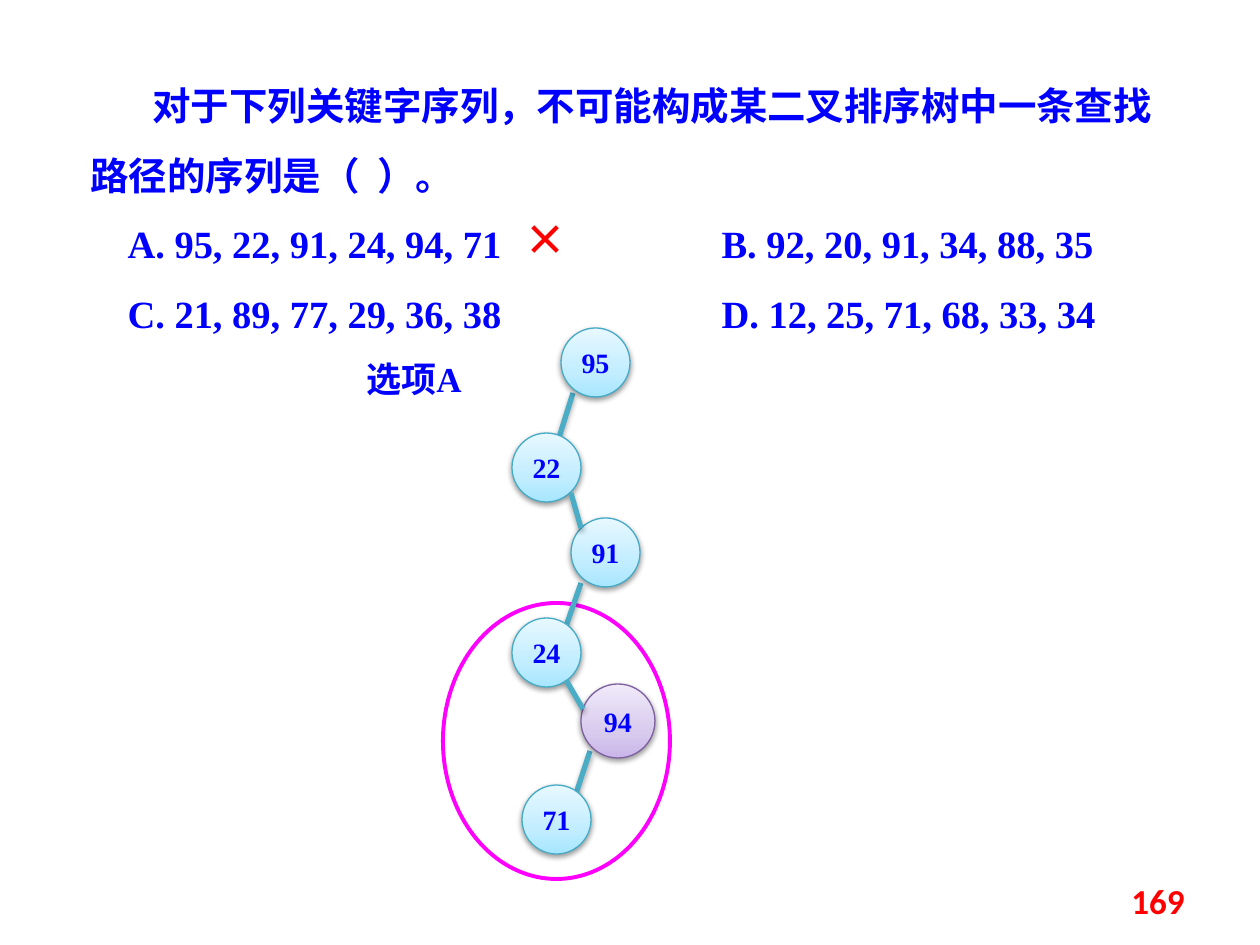
from copy import deepcopy

from pptx import Presentation
from pptx.dml.color import RGBColor
from pptx.enum.shapes import MSO_CONNECTOR as Connector, MSO_SHAPE as Shape
from pptx.enum.text import MSO_ANCHOR as Anchor, MSO_AUTO_SIZE as AutoSize, PP_ALIGN as Align
from pptx.oxml import parse_xml
from pptx.oxml.ns import nsdecls, qn
from pptx.util import Emu, Pt

BLUE = RGBColor(0x00, 0x00, 0xFF)
RED = RGBColor(0xFF, 0x00, 0x00)
MAGENTA = RGBColor(0xFF, 0x00, 0xFF)
EDGE = RGBColor(0x4B, 0xAC, 0xC6)
CYAN_LINE = RGBColor(0x46, 0xAA, 0xC5)
CYAN_STOPS = (RGBColor(0xA7, 0xE6, 0xFF), RGBColor(0xC1, 0xED, 0xFF), RGBColor(0xE7, 0xF8, 0xFF))
PURPLE_LINE = RGBColor(0x7D, 0x60, 0xA0)
PURPLE_STOPS = (RGBColor(0xC9, 0xB5, 0xE8), RGBColor(0xD8, 0xCB, 0xEE), RGBColor(0xF0, 0xEA, 0xF9))
STOP_POSITIONS = (0, 0.35, 1)
SERIF = "Times New Roman"
CJK = "Noto Sans CJK SC"


def px(length):
    return Emu(round(length * 914400 / 126))


def write(paragraph, text, size=20, font=SERIF, color=BLUE, align=Align.LEFT,
          spacing=None, indent=None):
    if indent is not None:
        props = paragraph._p.get_or_add_pPr()
        props.set("marL", "0")
        props.set("indent", str(px(indent)))
        props.append(parse_xml(f"<a:buNone {nsdecls('a')}/>"))
        paragraph.space_before = Pt(0)
    paragraph.alignment = align
    paragraph.line_spacing = spacing
    run = paragraph.add_run()
    run.text = text
    run.font.name, run.font.size, run.font.bold = font, Pt(size), True
    run.font.color.rgb = color
    run._r.rPr.append(parse_xml(f'<a:ea {nsdecls("a")} typeface="{CJK}"/>'))


def cast_shadow(element, opacity, distance):
    element.spPr.append(parse_xml(
        f'<a:effectLst {nsdecls("a")}><a:outerShdw blurRad="{Pt(3.1)}" dist="{Pt(distance)}" '
        f'dir="5400000" rotWithShape="0"><a:srgbClr val="000000">'
        f'<a:alpha val="{opacity * 1000}"/></a:srgbClr></a:outerShdw></a:effectLst>'))


class TreeSlide:
    def __init__(self, deck):
        self.slide = deck.slides.add_slide(deck.slide_layouts[3])

    def placeholder(self, index, box, lines, indent=0):
        holder = self.slide.placeholders[index]
        holder.left, holder.top, holder.width, holder.height = map(px, box)
        frame = holder.text_frame
        frame.auto_size = AutoSize.NONE
        frame.vertical_anchor = Anchor.TOP
        for number, line in enumerate(lines):
            paragraph = frame.add_paragraph() if number else frame.paragraphs[0]
            write(paragraph, line, size=22, spacing=1.5, indent=indent)

    def label(self, box, text, anchor=Anchor.TOP, **style):
        frame = self.slide.shapes.add_textbox(*map(px, box)).text_frame
        frame.word_wrap = True
        frame.vertical_anchor = anchor
        write(frame.paragraphs[0], text, **style)

    def ring(self, box):
        ring = self.slide.shapes.add_shape(Shape.OVAL, *map(px, box))
        ring.fill.background()
        ring.line.color.rgb, ring.line.width = MAGENTA, Pt(2.25)
        ring.shadow.inherit = False

    def edge(self, *ends):
        edge = self.slide.shapes.add_connector(Connector.STRAIGHT, *map(px, ends))
        edge.line.color.rgb, edge.line.width = EDGE, Pt(3)
        cast_shadow(edge._element, 35, 1.8)

    def node(self, key, left, top, size=69, stops=CYAN_STOPS, outline=CYAN_LINE):
        node = self.slide.shapes.add_shape(Shape.OVAL, *map(px, (left, top, size, size)))
        node.fill.gradient()
        node.fill.gradient_angle = 90
        stop_list = node._element.spPr.find(".//" + qn("a:gsLst"))
        stop_list.insert(1, deepcopy(stop_list[0]))
        for stop, position, color in zip(node.fill.gradient_stops, STOP_POSITIONS, stops):
            stop.position, stop.color.rgb = position, color
        node.line.color.rgb, node.line.width = outline, Pt(0.75)
        cast_shadow(node._element, 38, 1.6)
        frame = node.text_frame
        frame.margin_left = frame.margin_right = 0
        frame.vertical_anchor = Anchor.MIDDLE
        write(frame.paragraphs[0], str(key), size=16, align=Align.CENTER)


def main():
    deck = Presentation()
    deck.slide_width, deck.slide_height = px(1260), px(945)
    page = TreeSlide(deck)
    page.placeholder(
        0, (78, 53, 1103, 139),
        ["对于下列关键字序列，不可能构成某二叉排序树中一条查找路径的序列是（  ）。"], indent=62)
    page.placeholder(1, (115, 191, 410, 147),
                     ["A. 95, 22, 91, 24, 94, 71", "C. 21, 89, 77, 29, 36, 38"])
    page.placeholder(2, (709, 191, 410, 147),
                     ["B. 92, 20, 91, 34, 88, 35", "D. 12, 25, 71, 68, 33, 34"])
    page.ring((443, 603, 227, 276))
    page.label((512, 205, 69, 66), "×", size=24, font=CJK, color=RED, spacing=Pt(30))

    for left_branch in ((590, 751, 573, 803), (581, 583, 563, 635), (573, 393, 557, 444)):
        page.edge(*left_branch)
    for key, left, top in ((95, 561, 328), (22, 512, 433), (91, 571, 518),
                           (24, 512, 618), (71, 522, 785)):
        page.node(key, left, top)
    page.node(94, 581, 684, size=74, stops=PURPLE_STOPS, outline=PURPLE_LINE)
    for right_branch in ((571, 493, 581, 528), (566, 680, 583, 709)):
        page.edge(*right_branch)

    page.label((354, 341, 126, 66), "选项A", spacing=Pt(30))
    page.label((903, 876, 294, 50), "169", font="Calibri", color=RED,
               align=Align.RIGHT, anchor=Anchor.MIDDLE)
    deck.save("out.pptx")


if __name__ == "__main__":
    main()
